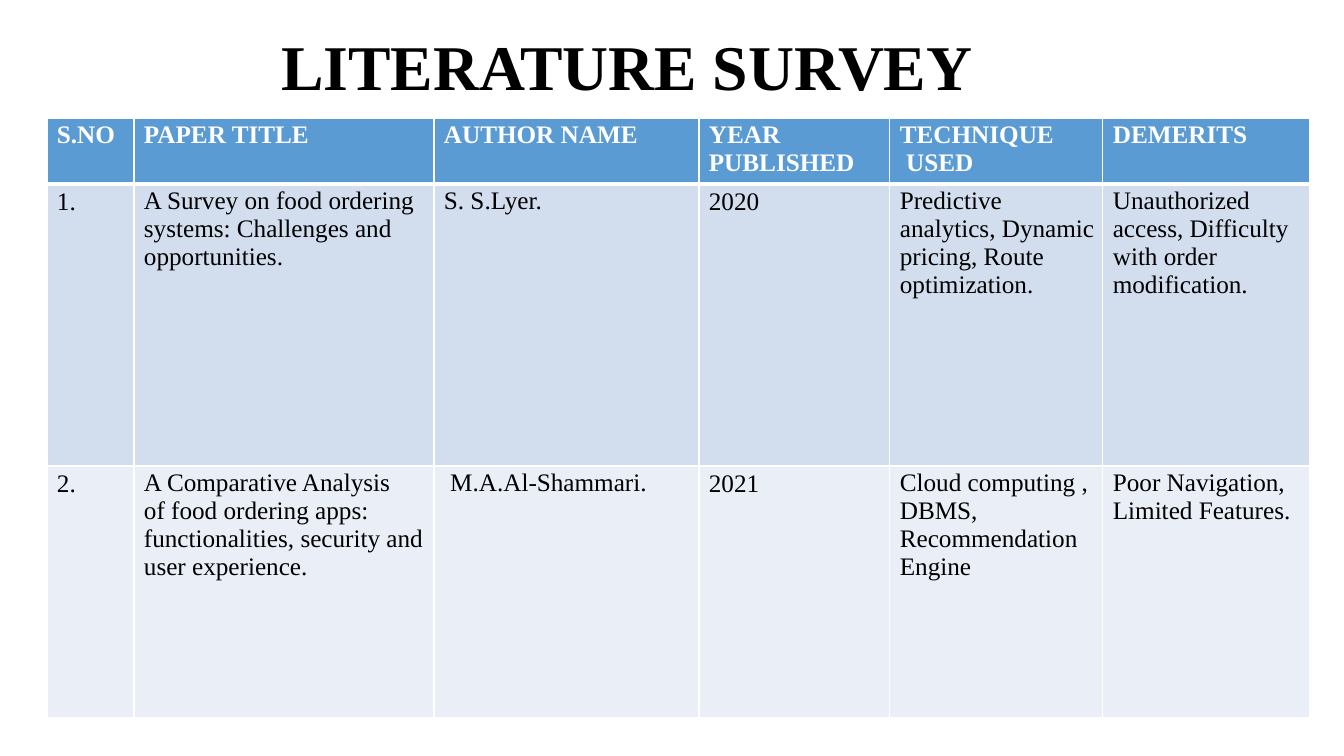
from lxml import etree
from pptx import Presentation
from pptx.dml.color import RGBColor
from pptx.enum.text import MSO_ANCHOR
from pptx.oxml.ns import qn
from pptx.util import Pt

PX = 914400 / 100.8
TOP = MSO_ANCHOR.TOP
FONT = "Times New Roman"
BLACK = RGBColor(0x00, 0x00, 0x00)
WHITE = RGBColor(0xFF, 0xFF, 0xFF)
BLUE = RGBColor(0x5B, 0x9B, 0xD4)
LIGHT = RGBColor(0xD2, 0xDE, 0xEE)
PALE = RGBColor(0xEA, 0xEE, 0xF7)

WIDTHS = [87, 300, 265, 191, 213, 207]
HEIGHTS = [66, 282, 252]
FILLS = [BLUE, LIGHT, PALE]
ROWS = [
    ["S.NO", "PAPER TITLE", "AUTHOR NAME", "YEAR PUBLISHED",
     "TECHNIQUE\v USED", "DEMERITS"],
    ["1.",
     "A Survey on food ordering systems: Challenges and opportunities.",
     "S. S.Lyer.",
     "2020",
     "Predictive analytics, Dynamic pricing, Route optimization.",
     "Unauthorized access, Difficulty with order modification."],
    ["2.",
     "A Comparative Analysis\nof food ordering apps:\n"
     "functionalities, security and user experience.",
     " M.A.Al-Shammari.",
     "2021",
     "Cloud computing , DBMS,\nRecommendation Engine",
     "Poor Navigation,\nLimited Features."],
]


def px(count):
    return round(count * PX)


def style(para, size, color, bold):
    font = para.font
    font.name = FONT
    font.size = Pt(size)
    font.bold = bold
    font.color.rgb = color


def pad(frame, left, top):
    frame.margin_left = px(left)
    frame.margin_top = px(top)
    frame.margin_right = frame.margin_bottom = 0


def add_title(slide, text):
    box = slide.shapes.add_textbox(px(280), px(25), px(827), px(79))
    frame = box.text_frame
    frame.word_wrap = True
    pad(frame, 1, 2)
    frame.text = text
    style(frame.paragraphs[0], 45.5, BLACK, True)


def add_edges(cell, top, bottom):
    props = cell._tc.get_or_add_tcPr()
    edges = [("a:lnL", 1), ("a:lnR", 1), ("a:lnT", top), ("a:lnB", bottom)]
    for place, (tag, width) in enumerate(edges):
        line = etree.Element(qn(tag), w=str(Pt(width)))
        fill = etree.SubElement(line, qn("a:solidFill"))
        etree.SubElement(fill, qn("a:srgbClr"), val=str(WHITE))
        props.insert(place, line)


def fill_cell(cell, text, row):
    head = row == 0
    cell.text = text
    cell.vertical_anchor = TOP
    pad(cell, 10, 4 if text[0].isdigit() else 3)
    cell.fill.solid()
    cell.fill.fore_color.rgb = FILLS[row]
    add_edges(cell, 3 if row == 1 else 1, 3 if head else 1)
    for para in cell.text_frame.paragraphs:
        para.line_spacing = Pt(20)
        style(para, 18, WHITE if head else BLACK, head)


def add_survey(slide):
    frame = slide.shapes.add_table(
        len(ROWS), len(WIDTHS), px(47), px(118),
        px(sum(WIDTHS)), px(sum(HEIGHTS)))
    table = frame.table
    table.first_row = table.horz_banding = False
    for column, width in zip(table.columns, WIDTHS):
        column.width = px(width)
    for row, texts in enumerate(ROWS):
        table.rows[row].height = px(HEIGHTS[row])
        for col, text in enumerate(texts):
            fill_cell(table.cell(row, col), text, row)


def main():
    deck = Presentation()
    deck.slide_width = px(1344)
    deck.slide_height = px(756)
    slide = deck.slides.add_slide(deck.slide_layouts[6])
    add_title(slide, "LITERATURE SURVEY")
    add_survey(slide)
    deck.save("out.pptx")


if __name__ == "__main__":
    main()
